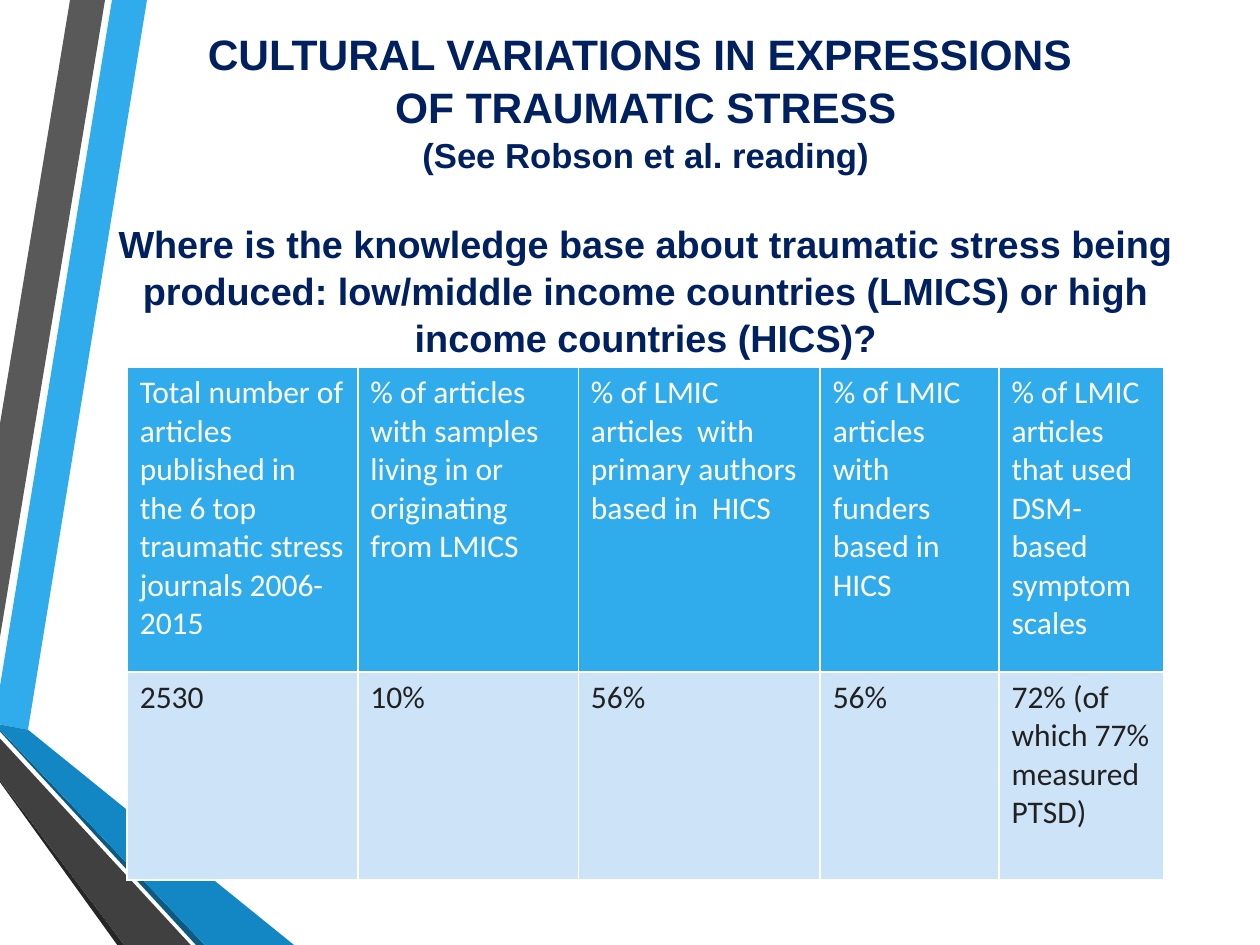
from pptx import Presentation
from pptx.util import Pt
from pptx.dml.color import RGBColor
from pptx.enum import text
from pptx.oxml import parse_xml
from pptx.oxml.ns import nsdecls

COLORS = {
    "sky": "30ACEC", "blue": "1287C3", "deep": "0C5A82",
    "gray": "595959", "dark": "404040", "black": "262626",
    "navy": "002060", "ink": "212121", "white": "FFFFFF", "pale": "CDE3F8",
}


def write(para, words, size=18, font="Calibri", color="ink", bold=False):
    """Write words into a paragraph, keeping line breaks inside it."""
    for number, line in enumerate(words.split("\n")):
        if number:
            para.add_line_break()
        span = para.add_run()
        span.text = line
        span.font.size = Pt(size)
        span.font.name = font
        span.font.bold = bold
        span.font.color.rgb = RGBColor.from_string(COLORS[color])


def add_border(cell, side, color="white", width=1):
    cell._tc.get_or_add_tcPr().append(parse_xml(
        f'<a:{side} {nsdecls("a")} w="{Pt(width)}"><a:solidFill>'
        f'<a:srgbClr val="{COLORS[color]}"/></a:solidFill></a:{side}>'))


deck = Presentation()
deck.slide_width, deck.slide_height = Pt(720), Pt(540)
page = deck.slides.add_slide(deck.slide_layouts[5])

# Ribbons along the left edge, back to front
ribbons = [
    ("sky", [(0, 391.7), (0, 414), (15.8, 416.9), (84.2, 0), (64.1, 0)]),
    ("gray", [(59.8, 0), (39.6, 0), (0, 241.9), (0, 364.3)]),
    ("black", [(0, 445.7), (0, 447.1), (67, 540), (71.3, 540)]),
    ("deep", [(0, 416.9), (0, 417.6), (112.3, 540), (117.4, 540)]),
    ("blue", [(0, 416.9), (117.4, 540), (167.8, 540), (15.8, 416.9), (0, 414)]),
    ("dark", [(0, 445.7), (71.3, 540), (108.7, 540), (0, 421.9)]),
]
for color, points in ribbons:
    outline = page.shapes.build_freeform(*points[0], scale=Pt(1))
    outline.add_line_segments(points[1:], close=True)
    ribbon = outline.convert_to_shape()
    ribbon.shadow.inherit = False
    ribbon.fill.solid()
    ribbon.fill.fore_color.rgb = RGBColor.from_string(COLORS[color])
    ribbon.line.fill.background()

# Title, in front of the ribbons
title = page.shapes.title
page.shapes._spTree.append(title._element)
title.left, title.top, title.width, title.height = Pt(54), Pt(15), Pt(630), Pt(190)
frame = title.text_frame
frame.word_wrap = True
frame.auto_size = text.MSO_AUTO_SIZE.NONE
frame.vertical_anchor = text.MSO_ANCHOR.TOP
frame.margin_top = frame.margin_bottom = 0
headings = [
    ("CULTURAL VARIATIONS IN EXPRESSIONS \nOF TRAUMATIC STRESS", 24.3, 0),
    ("(See Robson et al. reading)", 19.8, 0),
    ("Where is the knowledge base about traumatic stress being produced: "
     "low/middle income countries (LMICS) or high income countries (HICS)?", 21.6, 24.5),
]
for number, (words, size, gap) in enumerate(headings):
    para = frame.add_paragraph() if number else frame.paragraphs[0]
    para.alignment = text.PP_ALIGN.CENTER
    para.line_spacing = 1.04
    para.space_before = Pt(gap)
    write(para, words, size=size, font="Arial", color="navy", bold=True)

# Table of article counts
rows = [
    ["Total number of articles published in the 6 top traumatic stress journals 2006-2015",
     "% of articles with samples living in or originating from LMICS",
     "% of LMIC articles  with primary authors based in  HICS",
     "% of LMIC articles  with funders based in  HICS",
     "% of LMIC articles that used DSM-based symptom scales"],
    ["2530", "10%", "56%", "56%", "72% (of which 77% measured PTSD)"],
]
widths = [131.8, 126, 138.2, 102.2, 94.3]
heights = [174, 118.8]
styles = [("sky", "white"), ("pale", "ink")]
table = page.shapes.add_table(len(rows), len(widths), Pt(72.7), Pt(210),
                              Pt(sum(widths)), Pt(sum(heights))).table
for column, width in zip(table.columns, widths):
    column.width = Pt(width)
for r, (fill, ink) in enumerate(styles):
    table.rows[r].height = Pt(heights[r])
    for c, words in enumerate(rows[r]):
        cell = table.cell(r, c)
        for side in ("lnL", "lnR", "lnT", "lnB"):
            add_border(cell, side)
        cell.fill.solid()
        cell.fill.fore_color.rgb = RGBColor.from_string(COLORS[fill])
        write(cell.text_frame.paragraphs[0], words, color=ink)

deck.save("out.pptx")
